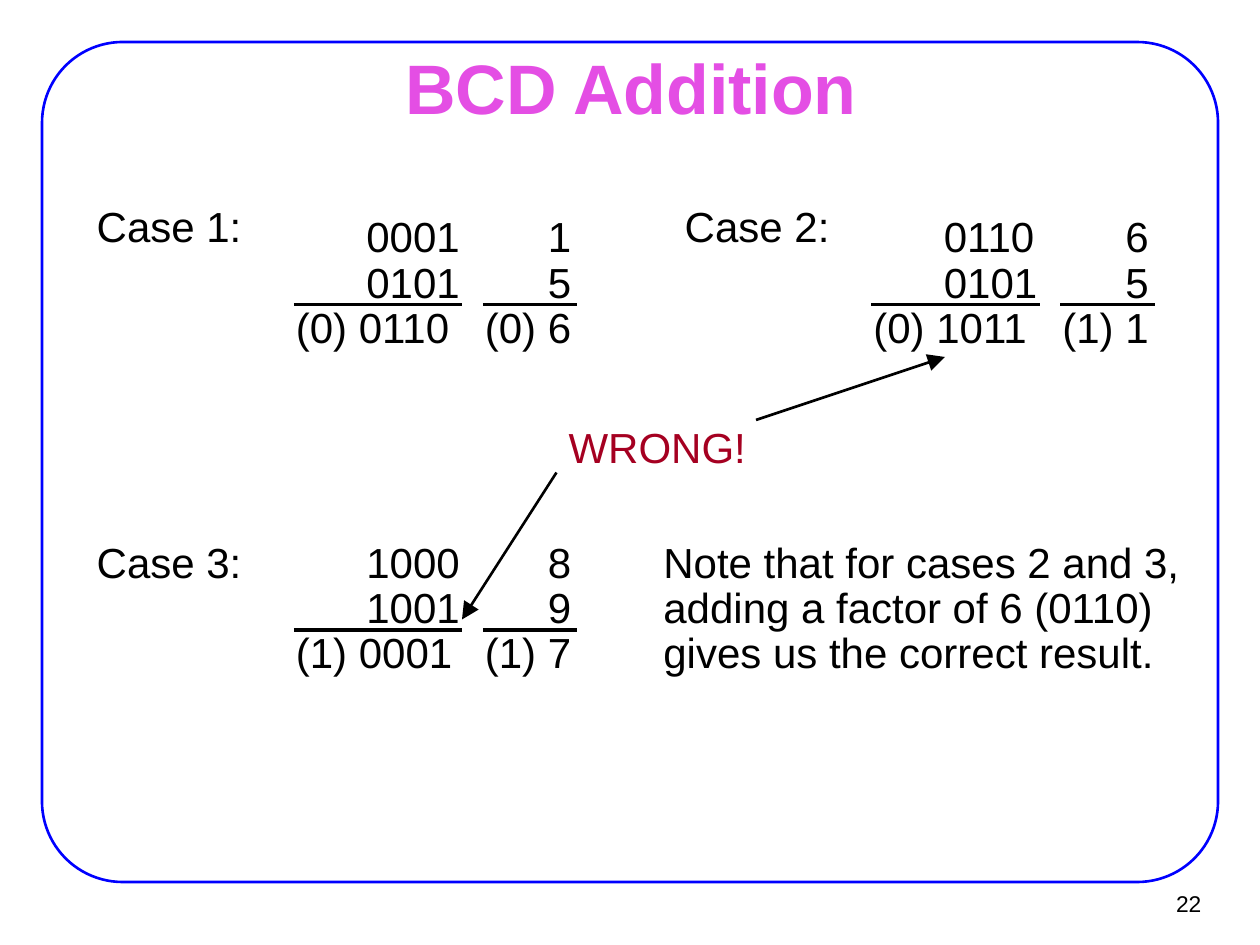
from dataclasses import dataclass

from lxml import etree
from pptx import Presentation
from pptx import util as u
from pptx.dml.color import RGBColor
from pptx.enum import shapes, text
from pptx.oxml import ns


@dataclass(frozen=True)
class Theme:
    font: str = "Arial"
    ink: str = "000000"
    frame: str = "0000FF"
    title: str = "E44EE4"
    warning: str = "A50021"
    title_size: int = 40
    body_size: int = 24
    number_size: int = 13


theme = Theme()
deck = Presentation()
deck.slide_width, deck.slide_height = u.Inches(10), u.Inches(7.5)
page = deck.slides.add_slide(deck.slide_layouts[6])
columns, rows = 120, 90
cell = deck.slide_width / columns


def add_text(words, left, top, width, height, size=theme.body_size, color=theme.ink,
             bold=False, align=text.PP_ALIGN.LEFT, spacing=0.9,
             insets=(0.1, 0.1), stops=()):
    box = page.shapes.add_textbox(*(round(n * cell) for n in (left, top, width, height)))
    frame = box.text_frame
    frame.word_wrap = True
    frame.vertical_anchor = text.MSO_ANCHOR.MIDDLE
    frame.margin_left, frame.margin_right = (u.Inches(inset) for inset in insets)
    for index, line in enumerate(words.split("\n")):
        para = frame.add_paragraph() if index else frame.paragraphs[0]
        para.alignment, para.line_spacing = align, spacing
        if stops:
            tabs = etree.SubElement(para._p.get_or_add_pPr(), ns.qn("a:tabLst"))
            for stop in stops[index]:
                etree.SubElement(tabs, ns.qn("a:tab"), pos=str(u.Inches(stop)), algn="l")
        span = para.add_run()
        span.text = line
        span.font.name, span.font.size, span.font.bold = theme.font, u.Pt(size), bold
        span.font.color.rgb = RGBColor.from_string(color)


def add_line(x1, y1, x2, y2, weight=2.25, arrow=False):
    ends = (round(n * cell) for n in (x1, y1, x2, y2))
    line = page.shapes.add_connector(shapes.MSO_CONNECTOR.STRAIGHT, *ends)
    line.line.width = u.Pt(weight)
    line.line.color.rgb = RGBColor.from_string(theme.ink)
    if arrow:
        etree.SubElement(line.line._get_or_add_ln(), ns.qn("a:tailEnd"),
                         type="triangle", w="lg", len="lg")
    etree.SubElement(line._element.spPr, ns.qn("a:effectLst"))


border = page.shapes.add_shape(
    shapes.MSO_SHAPE.ROUNDED_RECTANGLE,
    *(round(n * cell) for n in (4, 4, columns - 8, rows - 10)))
border.adjustments[0] = 0.096
border.shadow.inherit = False
border.fill.background()
border.line.width = u.Pt(1.5)
border.line.color.rgb = RGBColor.from_string(theme.frame)

add_text("22", 108.2, 83.8, 7.4, 4.4, size=theme.number_size,
         align=text.PP_ALIGN.RIGHT, spacing=1.0)
add_text("BCD Addition", 9.1, 5.3, 102, 5.9, size=theme.title_size, color=theme.title,
         bold=True, align=text.PP_ALIGN.CENTER, spacing=1.0)

addend_stops, total_stops = (0.56, 2.0), (1.5,)
cases = [
    ("Case 1:", 8, 19, 27, 20, "\t0001\t1\n\t0101\t5\n(0) 0110\t(0) 6"),
    ("Case 2:", 64, 19, 82, 20, "\t0110\t6\n\t0101\t5\n(0) 1011\t(1) 1"),
    ("Case 3:", 8, 51, 27, 51, "\t1000\t8\n\t1001\t9\n(1) 0001\t(1) 7"),
]
for label, label_left, label_top, left, top, addition in cases:
    add_text(label, label_left, label_top, 16.2, 5.6,
             align=text.PP_ALIGN.CENTER, insets=(0, 0))
    add_text(addition, left, top, 28.8, 14.2, insets=(0.1, 0),
             stops=(addend_stops, addend_stops, total_stops))
    for start, end in ((1, 17), (19, 28)):
        add_line(left + start, top + 9, left + end, top + 9)

add_text("WRONG!", 53, 40, 19.2, 5.6, color=theme.warning,
         align=text.PP_ALIGN.CENTER, insets=(0, 0))
add_line(72, 40, 90, 34, weight=1.5, arrow=True)
add_line(53, 45, 44, 59, weight=1.5, arrow=True)
add_text("Note that for cases 2 and 3, adding a factor of 6 (0110) "
         "gives us the correct result.", 62, 51, 52, 14.2)

deck.save("out.pptx")
